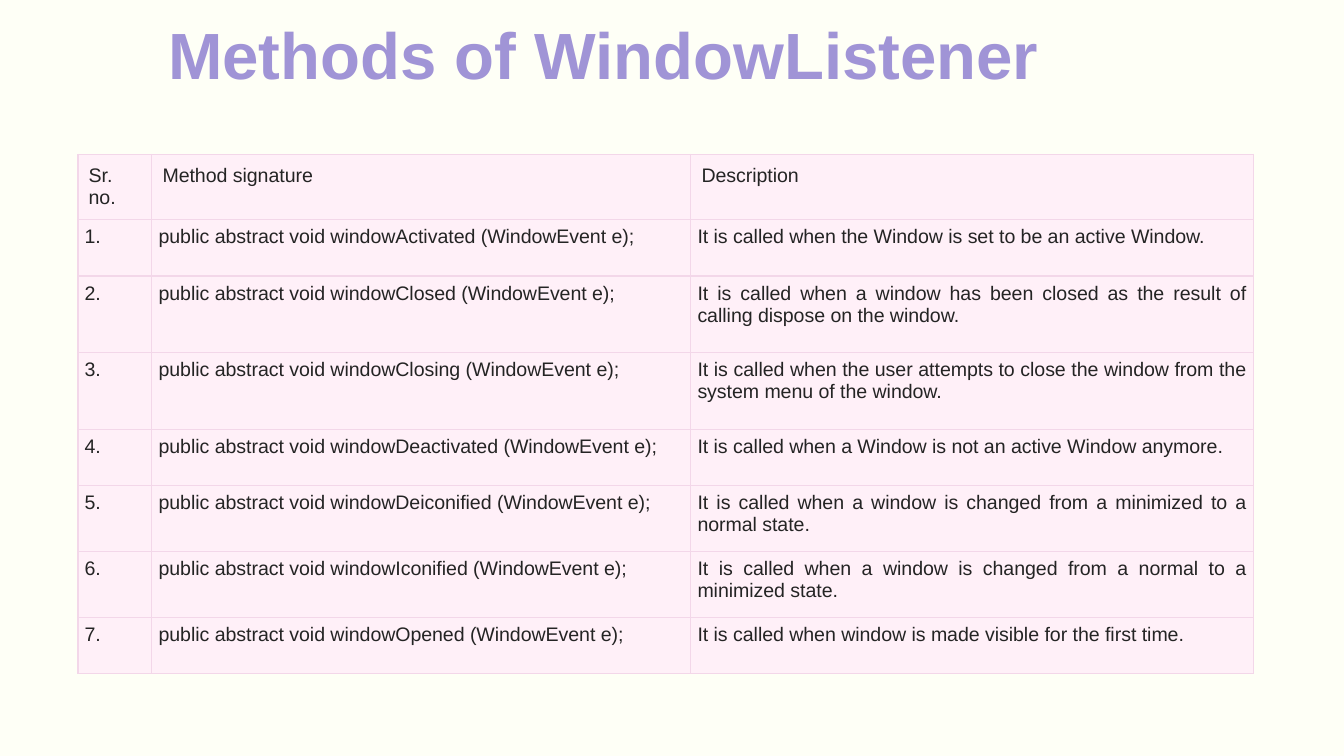
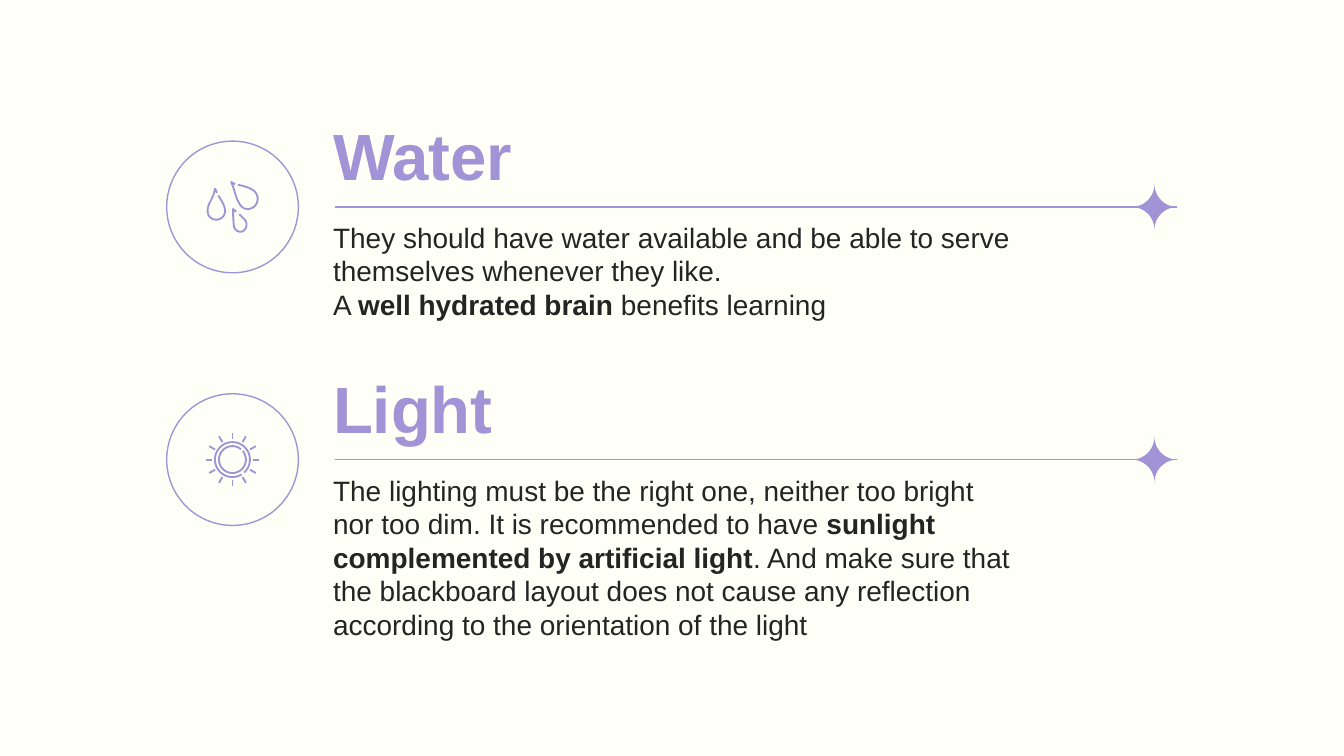
import math

from lxml import etree
from pptx import Presentation
from pptx import util as u
from pptx.dml.color import RGBColor
from pptx.enum import shapes, text
from pptx.oxml import ns

FONT = "Arial"
CREAM, LILAC, INK = "FEFFF6", "A094D6", "242424"
PINK, ROSE = "FFF0F8", "F3D7E9"
TITLE_ONLY = 5

COLUMN_WIDTHS = [0.55, 4.01, 4.19]
ROW_HEIGHTS = [0.36, 0.42, 0.57, 0.57, 0.42, 0.49, 0.49, 0.42]
METHODS = [
    ("Activated", "It is called when the Window is set to be an active Window."),
    ("Closed", "It is called when a window has been closed as the result of "
               "calling dispose on the window."),
    ("Closing", "It is called when the user attempts to close the window from "
                "the system menu of the window."),
    ("Deactivated", "It is called when a Window is not an active Window anymore."),
    ("Deiconified", "It is called when a window is changed from a minimized to a "
                    "normal state."),
    ("Iconified", "It is called when a window is changed from a normal to a "
                  "minimized state."),
    ("Opened", "It is called when window is made visible for the first time."),
]

WATER = [
    [("They should have water available and be able to serve themselves "
      "whenever they like.", False)],
    [("A ", False), ("well hydrated brain", True), (" benefits learning", False)],
]
LIGHT = [
    [("The lighting must be the right one, neither too bright nor too dim. "
      "It is recommended to have ", False),
     ("sunlight complemented by artificial light", True),
     (". And make sure that the blackboard layout does not cause any reflection "
      "according to the orientation of the light", False)],
]

DROPS = [
    [(4, -16.5), (11, -15), (14.5, -13.5), (16.5, -11.5), (20, -8), (19, -3),
     (16.5, -0.5), (13, 2.5), (9, 2), (6.5, -0.5), (2, -6), (2, -13),
     (-1, -18.5), (0, -18), (1, -17.5), (2, -17)],
    [(-10.5, -8.5), (-7, -3), (-5.5, 0), (-5.5, 3), (-5.5, 7), (-8.5, 9.5),
     (-12, 9.5), (-15.5, 9.5), (-18.5, 7), (-18.5, 3), (-18.5, -3), (-14, -6),
     (-13, -13.5), (-12.5, -13), (-12, -12), (-11.5, -10.5)],
    [(5, 5.5), (9, 9), (10.5, 10.5), (10.5, 13), (10.5, 16), (8.5, 18.5),
     (6, 18.5), (3, 18.5), (1, 16), (1, 13), (0.5, 9), (0.5, 6),
     (0.5, 1.5), (1, 2), (2, 3), (3, 3.5)],
]


def color(value):
    return RGBColor.from_string(value)


def inches(*values):
    return [u.Inches(value) for value in values]


def style_font(font, size, value, bold=None):
    font.name = FONT
    font.size = u.Pt(size)
    font.bold = bold
    font.color.rgb = color(value)


def set_frame(box, place, anchor):
    box.left, box.top, box.width, box.height = inches(*place)
    frame = box.text_frame
    frame.word_wrap = True
    frame.auto_size = text.MSO_AUTO_SIZE.NONE
    frame.vertical_anchor = anchor
    frame.margin_left = frame.margin_right = u.Inches(0.1)
    frame.margin_top = frame.margin_bottom = u.Inches(0.1)
    return frame


def add_text_box(page):
    return page.shapes.add_textbox(0, 0, 0, 0)


def write_heading(box, words, place, indent=0):
    frame = set_frame(box, place, text.MSO_ANCHOR.BOTTOM)
    para = frame.paragraphs[0]
    para.text = words
    para.alignment = text.PP_ALIGN.LEFT
    if indent:
        para._p.get_or_add_pPr().set("marL", str(u.Inches(indent)))
        para._p.get_or_add_pPr().set("indent", str(u.Inches(-0.35)))
    style_font(para.font, 35, LILAC, True)


def write_body(page, paragraphs, place):
    frame = set_frame(add_text_box(page), place, text.MSO_ANCHOR.TOP)
    for index, pieces in enumerate(paragraphs):
        para = frame.add_paragraph() if index else frame.paragraphs[0]
        style_font(para.font, 15, INK)
        for words, bold in pieces:
            span = para.add_run()
            span.text = words
            if bold:
                span.font.bold = True


def add_borders(cell):
    properties = cell._tc.get_or_add_tcPr()
    for side in ("a:lnL", "a:lnR", "a:lnT", "a:lnB"):
        line = etree.SubElement(properties, ns.qn(side), w=str(u.Pt(0.75)))
        fill = etree.SubElement(line, ns.qn("a:solidFill"))
        etree.SubElement(fill, ns.qn("a:srgbClr"), val=ROSE)


def write_cell(cell, words, is_header):
    margin = u.Inches(0.08 if is_header else 0.05)
    cell.margin_left = cell.margin_right = margin
    cell.margin_top = cell.margin_bottom = margin
    add_borders(cell)
    cell.fill.solid()
    cell.fill.fore_color.rgb = color(PINK)
    para = cell.text_frame.paragraphs[0]
    para.text = words
    para.alignment = text.PP_ALIGN.LEFT if is_header else text.PP_ALIGN.JUSTIFY
    style_font(para.font, 10.5, INK, False)


def add_method_table(page):
    rows = [("Sr. no.", "Method signature", "Description")]
    for number, (event, description) in enumerate(METHODS, 1):
        signature = f"public abstract void window{event} (WindowEvent e);"
        rows.append((f"{number}.", signature, description))
    place = inches(0.58, 1.15, sum(COLUMN_WIDTHS), sum(ROW_HEIGHTS))
    holder = page.shapes.add_table(len(rows), len(COLUMN_WIDTHS), *place)
    table = holder.table
    table.first_row = table.horz_banding = False
    for column, width in zip(table.columns, COLUMN_WIDTHS):
        column.width = u.Inches(width)
    for row, height, words in zip(table.rows, ROW_HEIGHTS, rows):
        row.height = u.Inches(height)
        for cell, content in zip(row.cells, words):
            write_cell(cell, content, words is rows[0])
    holder.height = u.Inches(3.89)


def style_line(shape, width=0.75):
    shape.line.color.rgb = color(LILAC)
    shape.line.width = u.Pt(width)


def add_line(holder, start, end, width=0.75):
    line = holder.shapes.add_connector(
        shapes.MSO_CONNECTOR.STRAIGHT, *inches(*start, *end))
    style_line(line, width)
    etree.SubElement(line._element.spPr, ns.qn("a:effectLst"))


def add_stroke(holder, points):
    first, *rest = [tuple(inches(*point)) for point in points]
    builder = holder.shapes.build_freeform(*first)
    builder.add_line_segments(rest, close=False)
    stroke = builder.convert_to_shape()
    stroke.shadow.inherit = False
    stroke.fill.background()
    style_line(stroke, 1)


def polar(center, radius, degrees):
    angle = math.radians(degrees)
    return (center[0] + radius * math.cos(angle),
            center[1] + radius * math.sin(angle))


def trace_curve(knots, steps=8):
    points = [knots[0]]
    for first in range(0, len(knots) - 1, 3):
        section = knots[first:first + 4]
        for step in range(1, steps + 1):
            t = step / steps
            weights = [math.comb(3, k) * t**k * (1 - t)**(3 - k) for k in range(4)]
            points.append(tuple(sum(w * knot[axis] for w, knot in zip(weights, section))
                                for axis in range(2)))
    return points


def draw_drops(page, center):
    icon = page.shapes.add_group_shape()
    for knots in DROPS:
        add_stroke(icon, [(center[0] + x / 100, center[1] + y / 100)
                          for x, y in trace_curve(knots)])


def draw_sun(page, center):
    icon = page.shapes.add_group_shape()
    for radius, gap in ((0.13, 53), (0.1, -45)):
        add_stroke(icon, [polar(center, radius, gap + turn)
                          for turn in range(5, 356, 5)])
    for degrees in range(0, 360, 30):
        add_line(icon, polar(center, 0.15, degrees),
                 polar(center, 0.2, degrees), 1)


def add_preset(page, kind, place):
    shape = page.shapes.add_shape(kind, *inches(*place))
    shape.shadow.inherit = False
    return shape


def add_topic(page, heading_box, heading, paragraphs, rule_y, body_height, draw_icon):
    write_body(page, paragraphs, (2.38, rule_y, 5.28, body_height))
    write_heading(heading_box, heading, (2.38, rule_y - 0.64, 5.28, 0.64))
    ring = add_preset(page, shapes.MSO_SHAPE.OVAL, (1.24, rule_y - 0.49, 0.98, 0.98))
    ring.fill.background()
    style_line(ring)
    draw_icon(page, (1.73, rule_y))
    add_line(page, (2.49, rule_y), (8.76, rule_y))
    star = add_preset(page, shapes.MSO_SHAPE.PLAQUE, (8.42, rule_y - 0.17, 0.34, 0.34))
    star.adjustments[0] = 0.5
    star.fill.solid()
    star.fill.fore_color.rgb = color(LILAC)
    star.line.fill.background()


def add_page(deck):
    return deck.slides.add_slide(deck.slide_layouts[TITLE_ONLY])


def build_methods_page(deck):
    page = add_page(deck)
    write_heading(page.shapes.title, "Methods of WindowListener",
                  (1, 0.15, 7.17, 0.64), 0.5)
    add_method_table(page)


def build_topics_page(deck):
    page = add_page(deck)
    add_topic(page, page.shapes.title, "Water", WATER, 1.54, 0.96, draw_drops)
    add_topic(page, add_text_box(page), "Light", LIGHT, 3.42, 1.13, draw_sun)


def main():
    deck = Presentation()
    deck.slide_width = u.Inches(10)
    deck.slide_height = deck.slide_width * 9 // 16
    background = deck.slide_master.background.fill
    background.solid()
    background.fore_color.rgb = color(CREAM)
    build_methods_page(deck)
    build_topics_page(deck)
    deck.save("out.pptx")


if __name__ == "__main__":
    main()
